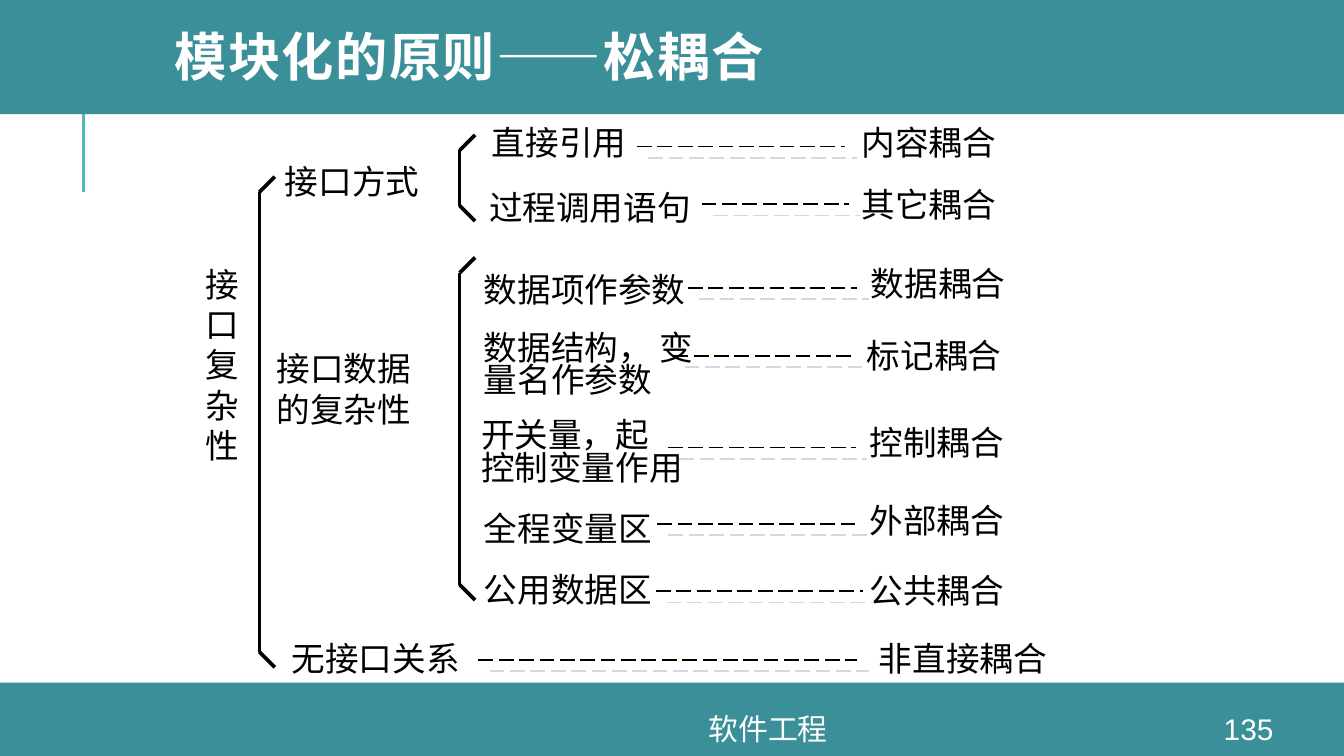
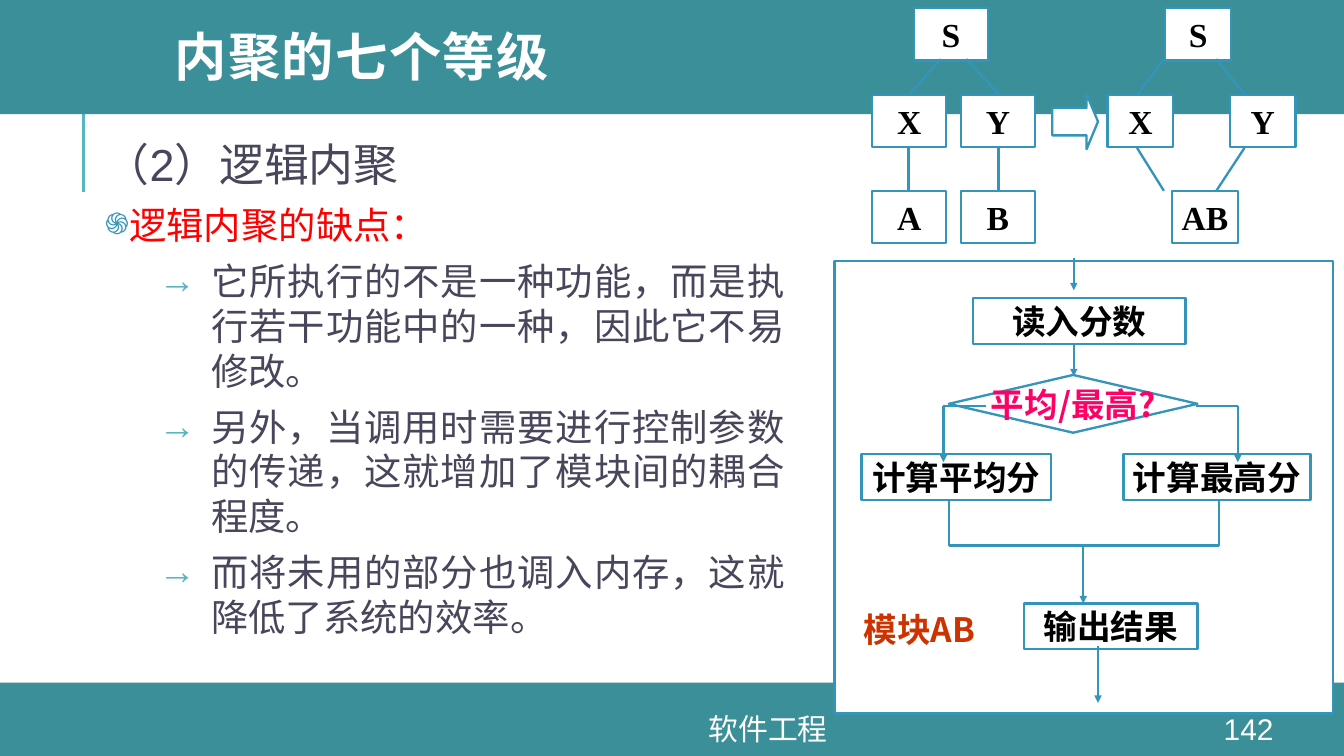
from dataclasses import dataclass, field, replace
from typing import Optional

from lxml.etree import SubElement
from pptx import Presentation
from pptx.dml.color import RGBColor
from pptx.enum.dml import MSO_LINE
from pptx.enum.shapes import MSO_CONNECTOR, MSO_SHAPE
from pptx.enum.text import MSO_ANCHOR, MSO_AUTO_SIZE, PP_ALIGN
from pptx.oxml.ns import qn
from pptx.util import Emu, Inches, Pt

SLIDE_WIDTH = Inches(10)
SLIDE_HEIGHT = Emu(SLIDE_WIDTH * 9 // 16)
COLUMNS = 100
CELL = SLIDE_WIDTH / COLUMNS
ROWS = SLIDE_HEIGHT / CELL


@dataclass(frozen=True)
class TextStyle:
    font: str
    size: int
    color: str
    bold: bool = False
    align: PP_ALIGN = PP_ALIGN.LEFT
    line_spacing: Optional[float] = None


@dataclass(frozen=True)
class Theme:
    band: str = "3A8F98"
    accent: str = "58B6C0"
    outline: str = "3494BA"
    paper: str = "FFFFFF"
    ink: str = "000000"
    shadow: str = "CEDBE6"
    thin: float = 1
    medium: float = 1.25
    rule: float = 1.5
    thick: float = 2
    title: TextStyle = TextStyle("Montserrat", 28, "FFFFFF", True, line_spacing=0.8)
    footer: TextStyle = TextStyle("Arial", 16, "FFFFFF", align=PP_ALIGN.CENTER)
    label: TextStyle = TextStyle("Arial", 18, "000000")
    tight_label: TextStyle = TextStyle("Arial", 18, "000000", line_spacing=0.8)
    module: TextStyle = TextStyle("Times New Roman", 18, "000000", True, PP_ALIGN.CENTER)
    step: TextStyle = TextStyle("Noto Sans CJK SC", 18, "000000", True, PP_ALIGN.CENTER)
    heading: TextStyle = TextStyle("Arial", 24, "48465B", align=PP_ALIGN.JUSTIFY)
    warning: TextStyle = TextStyle("Arial", 20, "FF0000", align=PP_ALIGN.JUSTIFY)
    point: TextStyle = TextStyle("Arial", 20, "48465B", align=PP_ALIGN.JUSTIFY)


THEME = Theme()


@dataclass(frozen=True)
class Area:
    left: float
    top: float
    width: float
    height: float

    def lengths(self) -> list[Emu]:
        return [cells(n) for n in (self.left, self.top, self.width, self.height)]


@dataclass(frozen=True)
class Label:
    text: str
    area: Area
    style: TextStyle = THEME.label
    wrap: bool = False


@dataclass(frozen=True)
class Coupling:
    name: str
    left: float
    top: float
    dash_start: float
    dash_end: float
    dash_row: float
    width: float = 14.4


@dataclass(frozen=True)
class Bracket:
    column: float
    top: float
    bottom: float


@dataclass(frozen=True)
class Line:
    x1: float
    y1: float
    x2: float
    y2: float
    arrow: bool = False


@dataclass(frozen=True)
class Node:
    text: str
    area: Area
    style: TextStyle = THEME.step
    preset: MSO_SHAPE = MSO_SHAPE.RECTANGLE


@dataclass(frozen=True)
class ModuleTree:
    box_width: float
    boxes: list[tuple[str, float, int]]
    links: list[Line] = field(default_factory=list)


@dataclass(frozen=True)
class Item:
    text: str
    style: TextStyle
    bullet: str = ""
    bullet_color: str = ""
    bullet_size: int = 100
    margin: float = 0
    indent: float = 0
    level: int = 0


LEVEL_ROWS = (0.6, 7.05, 14.2)
BOX_HEIGHT = 3.9
TIP = 1.15

CAUSES = [
    Label("接\n口\n复\n杂\n性", Area(14.5, 19.2, 5.3, 15.9), wrap=True),
    Label("接口方式", Area(20.4, 11.6, 11.7, 3.8)),
    Label("接口数据\n的复杂性", Area(19.8, 25.5, 11.7, 6.8)),
    Label("无接口关系", Area(20.9, 47.1, 14.2, 3.8)),
    Label("直接引用", Area(35.8, 8.7, 11.7, 3.8)),
    Label("过程调用语句", Area(35.6, 13.5, 16.8, 3.8)),
    Label("数据项作参数", Area(35.2, 19.6, 16.8, 3.8)),
    Label("数据结构， 变量名作参数", Area(35.2, 24.5, 17.2, 5.6), THEME.tight_label, True),
    Label("开关量，起\n控制变量作用", Area(35, 31, 16.8, 5.6), THEME.tight_label),
    Label("全程变量区", Area(35.2, 38, 14.2, 3.2), THEME.tight_label),
    Label("公用数据区", Area(35.2, 42.5, 14.2, 3.2), THEME.tight_label),
]
COUPLINGS = [
    Coupling("内容耦合", 63.3, 8.7, 47.4, 62.9, 10.9),
    Coupling("其它耦合", 63.3, 13.3, 52.2, 63.2, 15.2),
    Coupling("数据耦合", 64, 19.2, 51.2, 63.8, 21.4),
    Coupling("标记耦合", 63.7, 24.5, 50.1, 63.3, 26.5),
    Coupling("控制耦合", 63.9, 31, 49.7, 63.7, 33.3),
    Coupling("外部耦合", 63.9, 36.8, 48.9, 63.9, 39),
    Coupling("公共耦合", 63.9, 42, 48.8, 64.2, 44),
    Coupling("非直接耦合", 64.6, 47.1, 35.6, 63.8, 49.1, 17.2),
]
BRACKETS = [Bracket(19.3, 14.3, 48.5), Bracket(34.2, 11.2, 15.3), Bracket(34.2, 20.3, 43.5)]

TREES = [
    ModuleTree(
        5.5,
        [("S", 68, 0), ("X", 64.9, 1), ("Y", 71.5, 1), ("A", 64.9, 2), ("B", 71.5, 2)],
        [Line(67.6, 7.1, 70, 4.4), Line(71.9, 4.4, 74.3, 7),
         Line(67.6, 11, 67.6, 14.2), Line(74.3, 11, 74.3, 14.2)],
    ),
    ModuleTree(
        4.9,
        [("S", 86.7, 0), ("X", 82.4, 1), ("Y", 91.5, 1), ("AB", 87.2, 2)],
        [Line(84.6, 7.1, 86.6, 4.4), Line(90.5, 4.4, 92.6, 7),
         Line(84.6, 11, 86.6, 14.2), Line(92.6, 11, 90.5, 14.2)],
    ),
]
STEPS = [
    Node("", Area(62.1, 19.4, 37.1, 33.7)),
    Node("读入分数", Area(72.4, 22.2, 15.8, 3.4)),
    Node("计算平均分", Area(64.1, 33.8, 14.1, 3.4)),
    Node("输出结果", Area(76.2, 44.9, 12.9, 3.4)),
    Node("计算最高分", Area(83.6, 33.8, 13.9, 3.4)),
    Node("平均/最高?", Area(70.6, 27.9, 18.5, 4.3),
         replace(THEME.step, color="FF0066"), MSO_SHAPE.DIAMOND),
]
FLOWS = [
    Line(79.9, 19.2, 79.9, 21.6, True), Line(79.9, 25.6, 79.9, 28, True),
    Line(70.2, 30.2, 73.4, 30.2), Line(70.2, 30.2, 70.2, 34.4, True),
    Line(89, 30.2, 92.1, 30.2), Line(92.1, 30.2, 92.1, 34.4, True),
    Line(81.7, 48.1, 81.7, 52.3, True), Line(80.6, 40.6, 80.6, 44.9, True),
    Line(70.6, 40.6, 90.7, 40.6),
    Line(70.6, 37.2, 70.6, 40.6), Line(90.7, 37.2, 90.7, 40.6),
]
DRAWBACKS = [
    "它所执行的不是一种功能，而是执行若干功能中的一种，因此它不易修改。",
    "另外，当调用时需要进行控制参数的传递，这就增加了模块间的耦合程度。",
    "而将未用的部分也调入内存，这就降低了系统的效率。",
]
ITEMS = [
    Item("（2）逻辑内聚", THEME.heading),
    Item("逻辑内聚的缺点：", THEME.warning, "֍", THEME.outline, 80, 0.7, -4.7),
    *(Item(text, THEME.point, "→", THEME.accent, 100, 7.9, -3.9, 1) for text in DRAWBACKS),
]


def cells(count: float) -> Emu:
    return Emu(round(count * CELL))


def rgb(color: str) -> RGBColor:
    return RGBColor.from_string(color)


def format_paragraph(paragraph, style: TextStyle) -> None:
    paragraph.alignment = style.align
    if style.line_spacing:
        paragraph.line_spacing = style.line_spacing
    font = paragraph.font
    font.name, font.size, font.bold = style.font, Pt(style.size), style.bold
    font.color.rgb = rgb(style.color)


def write_text(frame, text: str, style: TextStyle, wrap: bool = True) -> None:
    frame.text = text
    frame.word_wrap = wrap
    for paragraph in frame.paragraphs:
        format_paragraph(paragraph, style)


def set_insets(frame, horizontal: float, vertical: float) -> None:
    frame.margin_left = frame.margin_right = cells(horizontal)
    frame.margin_top = frame.margin_bottom = cells(vertical)


def draw_shape(slide, preset: MSO_SHAPE, area: Area, fill: str, outline: str = ""):
    shape = slide.shapes.add_shape(preset, *area.lengths())
    shape.shadow.inherit = False
    shape.fill.solid()
    shape.fill.fore_color.rgb = rgb(fill)
    if outline:
        shape.line.color.rgb = rgb(outline)
        shape.line.width = Pt(THEME.medium)
    else:
        shape.line.fill.background()
    return shape


def draw_line(slide, line: Line, color: str, width: float, dashed: bool = False):
    ends = [cells(n) for n in (line.x1, line.y1, line.x2, line.y2)]
    connector = slide.shapes.add_connector(MSO_CONNECTOR.STRAIGHT, *ends)
    connector.line.color.rgb = rgb(color)
    connector.line.width = Pt(width)
    if dashed:
        connector.line.dash_style = MSO_LINE.LONG_DASH
    properties = connector._element.spPr
    if line.arrow:
        SubElement(properties.find(qn("a:ln")), qn("a:tailEnd"), type="triangle", w="sm", len="sm")
    effects = SubElement(properties, qn("a:effectLst"))
    if dashed:
        shadow = SubElement(effects, qn("a:outerShdw"), blurRad="0",
                            dist=str(Pt(8.5)), dir="2700000", algn="ctr", rotWithShape="0")
        SubElement(shadow, qn("a:srgbClr"), val=THEME.shadow)
    return connector


def draw_label(slide, label: Label) -> None:
    frame = slide.shapes.add_textbox(*label.area.lengths()).text_frame
    set_insets(frame, 0.8, 0.4)
    write_text(frame, label.text, label.style, label.wrap)
    frame.auto_size = MSO_AUTO_SIZE.SHAPE_TO_FIT_TEXT


def draw_node(slide, node: Node, wrap: bool = False, inset: Optional[float] = None) -> None:
    shape = draw_shape(slide, node.preset, node.area, THEME.paper, THEME.outline)
    if node.text:
        frame = shape.text_frame
        frame.vertical_anchor = MSO_ANCHOR.MIDDLE
        if inset is not None:
            set_insets(frame, inset, inset)
        write_text(frame, node.text, node.style, wrap)


def draw_bracket(slide, bracket: Bracket) -> None:
    column, top, bottom = bracket.column, bracket.top, bracket.bottom
    for line in (
        Line(column, top, column, bottom),
        Line(column, top, column + TIP, top - TIP),
        Line(column, bottom, column + TIP, bottom + TIP),
    ):
        draw_line(slide, line, THEME.ink, THEME.thick)


def draw_tree(slide, tree: ModuleTree) -> None:
    for text, left, level in tree.boxes:
        area = Area(left, LEVEL_ROWS[level], tree.box_width, BOX_HEIGHT)
        draw_node(slide, Node(text, area, THEME.module), True, 0)
    for link in tree.links:
        draw_line(slide, link, THEME.outline, THEME.medium)


def fill_list(placeholder, area: Area, items: list[Item]) -> None:
    placeholder.left, placeholder.top, placeholder.width, placeholder.height = area.lengths()
    frame = placeholder.text_frame
    set_insets(frame, 0.5, 0.5)
    frame.text = "\n".join(item.text for item in items)
    frame.auto_size = MSO_AUTO_SIZE.NONE
    for index, (paragraph, item) in enumerate(zip(frame.paragraphs, items)):
        paragraph.level = item.level
        paragraph.space_before = Pt(6 if index else 0)
        properties = paragraph._p.get_or_add_pPr()
        properties.set("marL", str(cells(item.margin)))
        properties.set("indent", str(cells(item.indent)))
        if item.bullet:
            color = SubElement(properties, qn("a:buClr"))
            SubElement(color, qn("a:srgbClr"), val=item.bullet_color)
            SubElement(properties, qn("a:buSzPct"), val=str(item.bullet_size * 1000))
            SubElement(properties, qn("a:buChar"), char=item.bullet)
        else:
            SubElement(properties, qn("a:buNone"))
        format_paragraph(paragraph, item.style)


def move_frame_to_master(presentation, slide) -> None:
    parts = [
        draw_line(slide, Line(6.2, 14.3, 6.2, 6.8), THEME.accent, THEME.rule),
        draw_shape(slide, MSO_SHAPE.RECTANGLE, Area(0, 50.8, COLUMNS, ROWS - 50.8), THEME.band),
        draw_shape(slide, MSO_SHAPE.RECTANGLE, Area(0, -0.3, COLUMNS, 8.8), THEME.band),
    ]
    tree = presentation.slide_master.shapes._spTree
    for index, part in enumerate(parts):
        next(part._element.iter(qn("p:cNvPr"))).set("id", str(100 + index))
        tree.insert(2 + index, part._element)


def add_slide(presentation, layout: int, title: str, number: str):
    slide = presentation.slides.add_slide(presentation.slide_layouts[layout])
    shape = slide.shapes.title
    shape.left, shape.top, shape.width, shape.height = Area(12, 0, 84.9, 9.1).lengths()
    shape.text_frame.vertical_anchor = MSO_ANCHOR.MIDDLE
    write_text(shape.text_frame, title, THEME.title)
    shape.text_frame.paragraphs[0]._p.pPr.find(qn("a:defRPr")).set("spc", "80")
    for text, area in (("软件工程", Area(26.1, 53.1, 62.1, 2.3)), (number, Area(88.9, 53.1, 8, 2.3))):
        frame = slide.shapes.add_textbox(*area.lengths()).text_frame
        frame.vertical_anchor = MSO_ANCHOR.MIDDLE
        write_text(frame, text, THEME.footer)
    return slide


def build_coupling_slide(presentation):
    slide = add_slide(presentation, 5, "模块化的原则——松耦合", "135")
    for cause in CAUSES:
        draw_label(slide, cause)
    for coupling in COUPLINGS:
        row = coupling.dash_row
        dash = Line(coupling.dash_start, row, coupling.dash_end, row)
        draw_line(slide, dash, THEME.ink, THEME.thin, dashed=True)
        area = Area(coupling.left, coupling.top, coupling.width, 3.8)
        draw_label(slide, Label(coupling.name, area, wrap=True))
    for bracket in BRACKETS:
        draw_bracket(slide, bracket)
    return slide


def build_cohesion_slide(presentation) -> None:
    slide = add_slide(presentation, 1, "内聚的七个等级", "142")
    fill_list(slide.placeholders[1], Area(7.3, 9.7, 51.6, 41.6), ITEMS)
    for tree in TREES:
        draw_tree(slide, tree)
    arrow = draw_shape(slide, MSO_SHAPE.RIGHT_ARROW, Area(78.3, 7, 3.4, 4.1), THEME.paper, THEME.outline)
    arrow.adjustments[1] = 0.25
    for step in STEPS:
        draw_node(slide, step)
    for flow in FLOWS:
        draw_line(slide, flow, THEME.outline, THEME.medium)
    caption = slide.shapes.add_textbox(*Area(63.2, 44.8, 10.4, 4).lengths()).text_frame
    write_text(caption, "模块AB", replace(THEME.step, color="CC3300"))


def main() -> None:
    presentation = Presentation()
    presentation.slide_width, presentation.slide_height = SLIDE_WIDTH, SLIDE_HEIGHT
    first_slide = build_coupling_slide(presentation)
    move_frame_to_master(presentation, first_slide)
    build_cohesion_slide(presentation)
    presentation.save("out.pptx")


if __name__ == "__main__":
    main()
